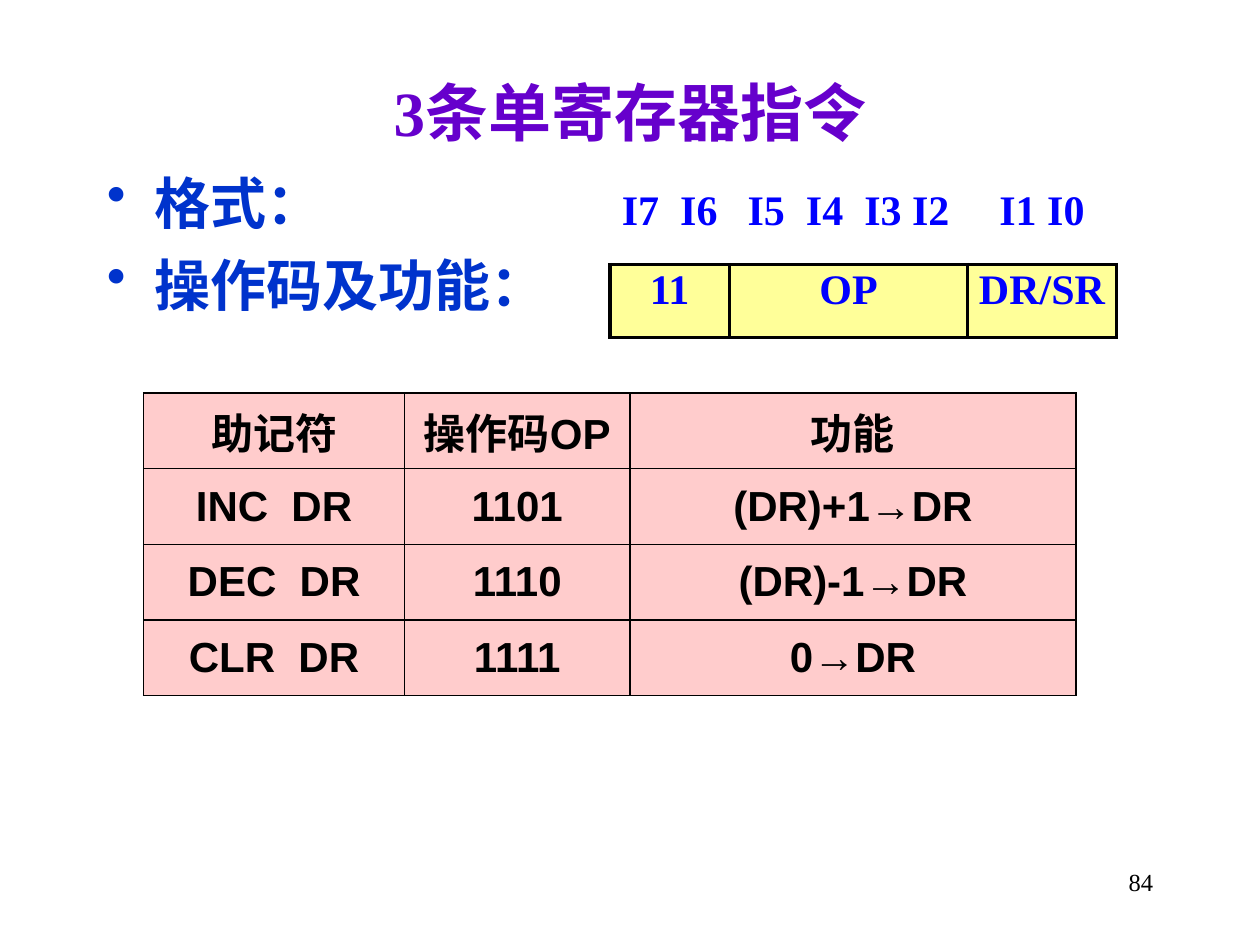
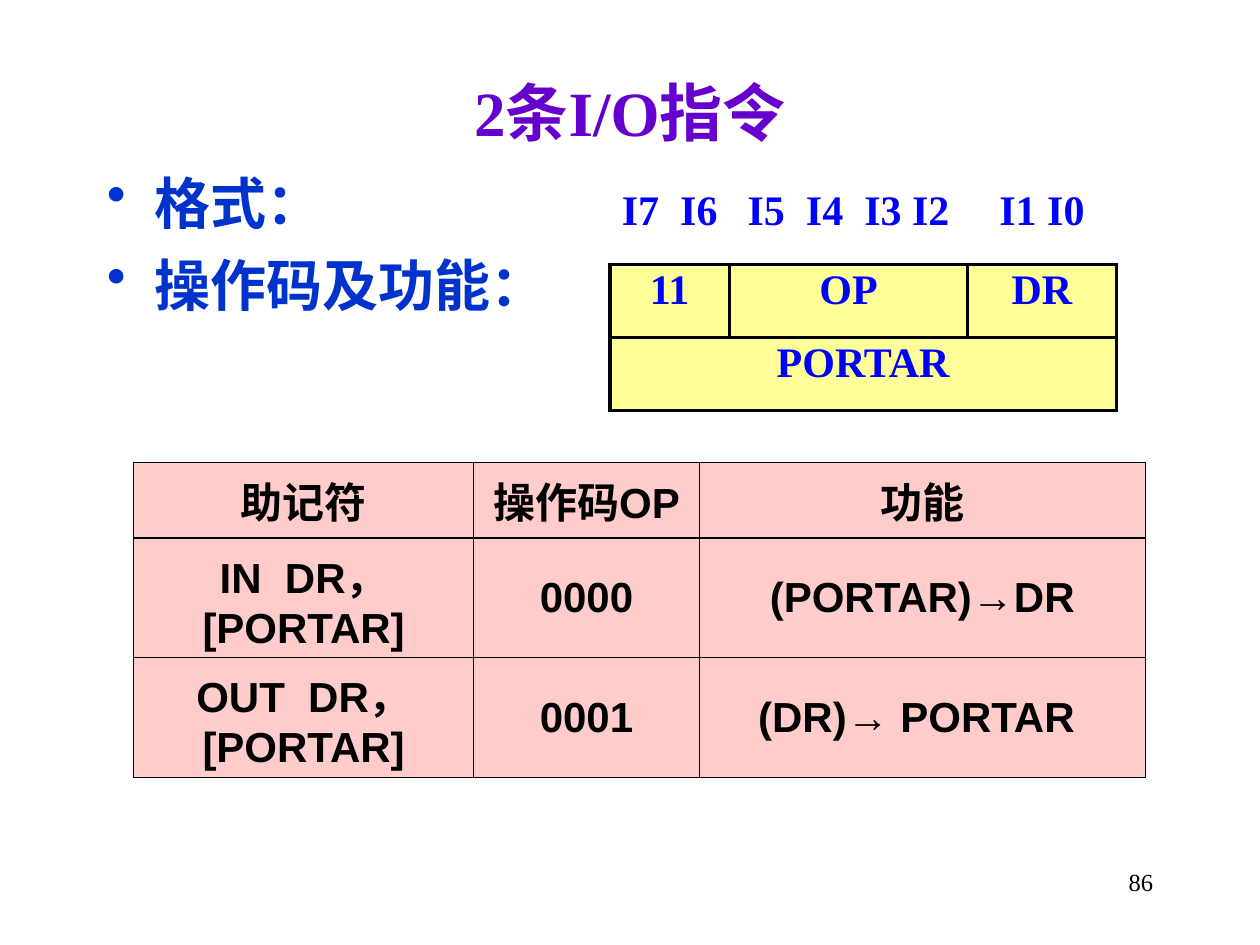
from lxml import etree
from pptx import Presentation
from pptx.dml.color import RGBColor
from pptx.enum.text import MSO_ANCHOR, PP_ALIGN
from pptx.oxml.ns import qn
from pptx.util import Inches, Pt

CENTER, RIGHT, LEFT = PP_ALIGN.CENTER, PP_ALIGN.RIGHT, PP_ALIGN.LEFT
TOP, MIDDLE = MSO_ANCHOR.TOP, MSO_ANCHOR.MIDDLE

PURPLE = RGBColor(0x66, 0x00, 0xCC)
ROYAL = RGBColor(0x00, 0x33, 0xCC)
BLUE = RGBColor(0x00, 0x00, 0xFF)
BLACK = RGBColor(0x00, 0x00, 0x00)
YELLOW = RGBColor(0xFF, 0xFF, 0x99)
PINK = RGBColor(0xFF, 0xCC, 0xCC)

# Grid of 100 columns by 75 rows; boxes are (column, row, columns, rows)
SLIDE_W, SLIDE_H = Inches(10), Inches(7.5)
COL, ROW = SLIDE_W / 100, SLIDE_H / 75
TITLE_BOX = (7.5, 5.2, 85, 7.2)
TOPICS_BOX = (7.5, 13.9, 37, 12.6)
FORMAT_BOX = (48.4, 14.7, 40.2, 12.1)
NUMBER_BOX = (71.7, 68.3, 20.8, 5)

SERIF, SANS = "Times New Roman", "Arial"
TITLE = dict(name=SERIF, size=Pt(36), bold=True, color=PURPLE)
TOPIC = dict(name=SERIF, size=Pt(32), bold=True, color=ROYAL)
FIELD = dict(name=SERIF, size=Pt(24), bold=True, color=BLUE)
ENTRY = dict(name=SANS, size=Pt(24), bold=True, color=BLACK)
NUMBER = dict(name=SERIF, size=Pt(14), bold=False, color=BLACK)

TOPICS = ["格式：", "操作码及功能："]
BITS = ["I7  I6", "I5  I4  I3 I2", "I1 I0"]
HEADINGS = ["助记符", "操作码OP", "功能"]
FORMAT_COLS = [9.5, 18.9, 11.8]
FORMAT_ROWS = [6.3, 5.8, 5.8]
SIDES = ("a:lnL", "a:lnR", "a:lnT", "a:lnB")


def emu(box):
    x, y, w, h = box
    return [int(v) for v in (x * COL, y * ROW, w * COL, h * ROW)]


def write(p, text, style, align):
    p.alignment = align
    r = p.add_run()
    r.text = text
    for key, value in style.items():
        if key == "color":
            r.font.color.rgb = value
        else:
            setattr(r.font, key, value)


def add_text(slide, box, lines, style, align, anchor=TOP):
    tf = slide.shapes.add_textbox(*emu(box)).text_frame
    tf.word_wrap, tf.vertical_anchor = True, anchor
    for i, line in enumerate(lines):
        p = tf.add_paragraph() if i else tf.paragraphs[0]
        write(p, line, style, align)
    return tf


def add_topics(slide, box):
    tf = add_text(slide, box, TOPICS, TOPIC, LEFT)
    for i, p in enumerate(tf.paragraphs):
        p.line_spacing, p.space_after = 0.8, Pt(6.4)
        p.space_before = Pt(9.6 if i else 0)
        pPr = p._p.get_or_add_pPr()
        pPr.set("marL", str(Inches(0.38)))
        pPr.set("indent", str(-Inches(0.38)))
        etree.SubElement(pPr, qn("a:buChar")).set("char", "•")


def set_borders(cell, sides, width):
    tcPr = cell._tc.get_or_add_tcPr()
    for i, side in enumerate(sides):
        ln = etree.Element(qn(side), w=str(Pt(width)))
        fill = etree.SubElement(ln, qn("a:solidFill"))
        etree.SubElement(fill, qn("a:srgbClr"), val=str(BLACK))
        tcPr.insert(i, ln)


def add_grid(slide, box, cols, rows, texts, style, anchor):
    """Add a table whose columns and rows share the box in proportion."""
    x, y, w, h = emu(box)
    table = slide.shapes.add_table(len(rows), len(cols), x, y, w, h).table
    table.first_row = table.horz_banding = False
    for column, share in zip(table.columns, cols):
        column.width = int(w * share / sum(cols))
    for row, share in zip(table.rows, rows):
        row.height = int(h * share / sum(rows))
    for r, line in enumerate(texts):
        for c, text in enumerate(line):
            cell = table.cell(r, c)
            cell.vertical_anchor = anchor
            write(cell.text_frame.paragraphs[0], text, style, CENTER)
    return table


def add_format_table(slide, box, last_field, operand):
    """Bit numbers over the instruction word, with an optional second word."""
    texts = [BITS, ["11", "OP", last_field]] + ([[operand]] if operand else [])
    rows = FORMAT_ROWS[:len(texts)]
    x, y, w, _ = box
    table = add_grid(slide, (x, y, w, sum(rows)), FORMAT_COLS, rows,
                     texts, FIELD, TOP)
    if operand:
        table.cell(2, 0).merge(table.cell(2, 2))
    for i, cell in enumerate(table.iter_cells()):
        for side in ("left", "right", "top", "bottom"):
            setattr(cell, f"margin_{side}", Inches(0.02))
        if i < len(BITS):
            cell.fill.background()
            set_borders(cell, SIDES[-1:], 2.25)
        else:
            cell.fill.solid()
            cell.fill.fore_color.rgb = YELLOW
            set_borders(cell, SIDES, 2.25)


def add_opcode_table(slide, box, cols, rows, entries):
    table = add_grid(slide, box, cols, rows, [HEADINGS] + entries, ENTRY, MIDDLE)
    for cell in table.iter_cells():
        cell.fill.solid()
        cell.fill.fore_color.rgb = PINK
        set_borders(cell, SIDES, 1)


def add_instruction_slide(prs, title, number, last_field, operand,
                          corner, cols, rows, entries):
    slide = prs.slides.add_slide(prs.slide_layouts[6])
    add_text(slide, TITLE_BOX, [title], TITLE, CENTER, MIDDLE)
    add_topics(slide, TOPICS_BOX)
    add_format_table(slide, FORMAT_BOX, last_field, operand)
    add_opcode_table(slide, (*corner, sum(cols), sum(rows)), cols, rows, entries)
    add_text(slide, NUMBER_BOX, [number], NUMBER, RIGHT)


def main():
    prs = Presentation()
    prs.slide_width, prs.slide_height = SLIDE_W, SLIDE_H
    # Single-register instructions
    add_instruction_slide(
        prs, "3条单寄存器指令", "84", "DR/SR", None,
        (11.4, 31.2), [20.7, 17.9, 35.4], [6] * 4,
        [["INC  DR", "1101", "(DR)+1→DR"],
         ["DEC  DR", "1110", "(DR)-1→DR"],
         ["CLR  DR", "1111", "0→DR"]])
    # Input and output instructions
    add_instruction_slide(
        prs, "2条I/O指令", "86", "DR", "PORTAR",
        (10.6, 36.7), [27, 17.9, 35.4], [6, 9.5, 9.5],
        [["IN  DR，[PORTAR]", "0000", "(PORTAR)→DR"],
         ["OUT  DR，[PORTAR]", "0001", "(DR)→ PORTAR "]])
    prs.save("out.pptx")


if __name__ == "__main__":
    main()
